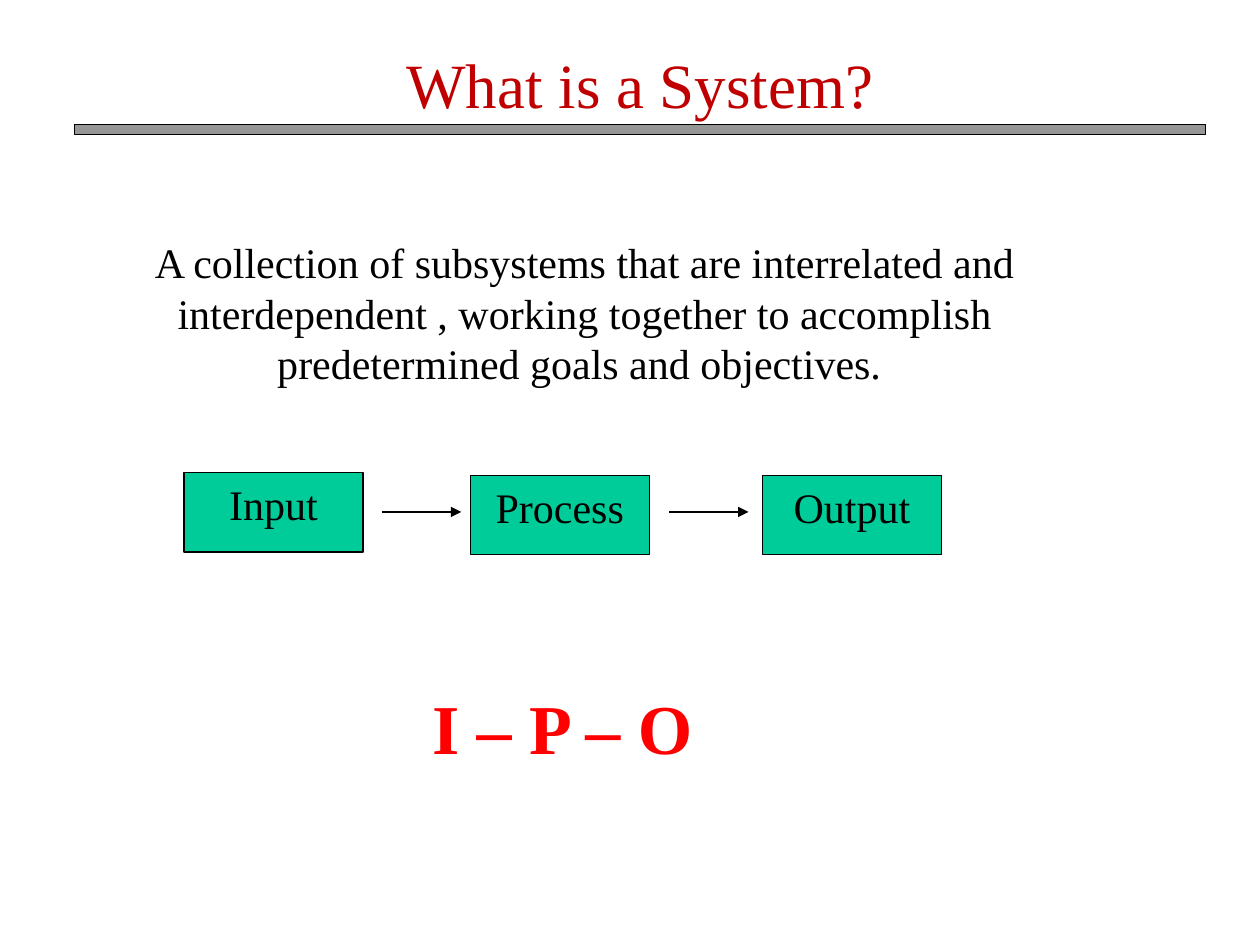
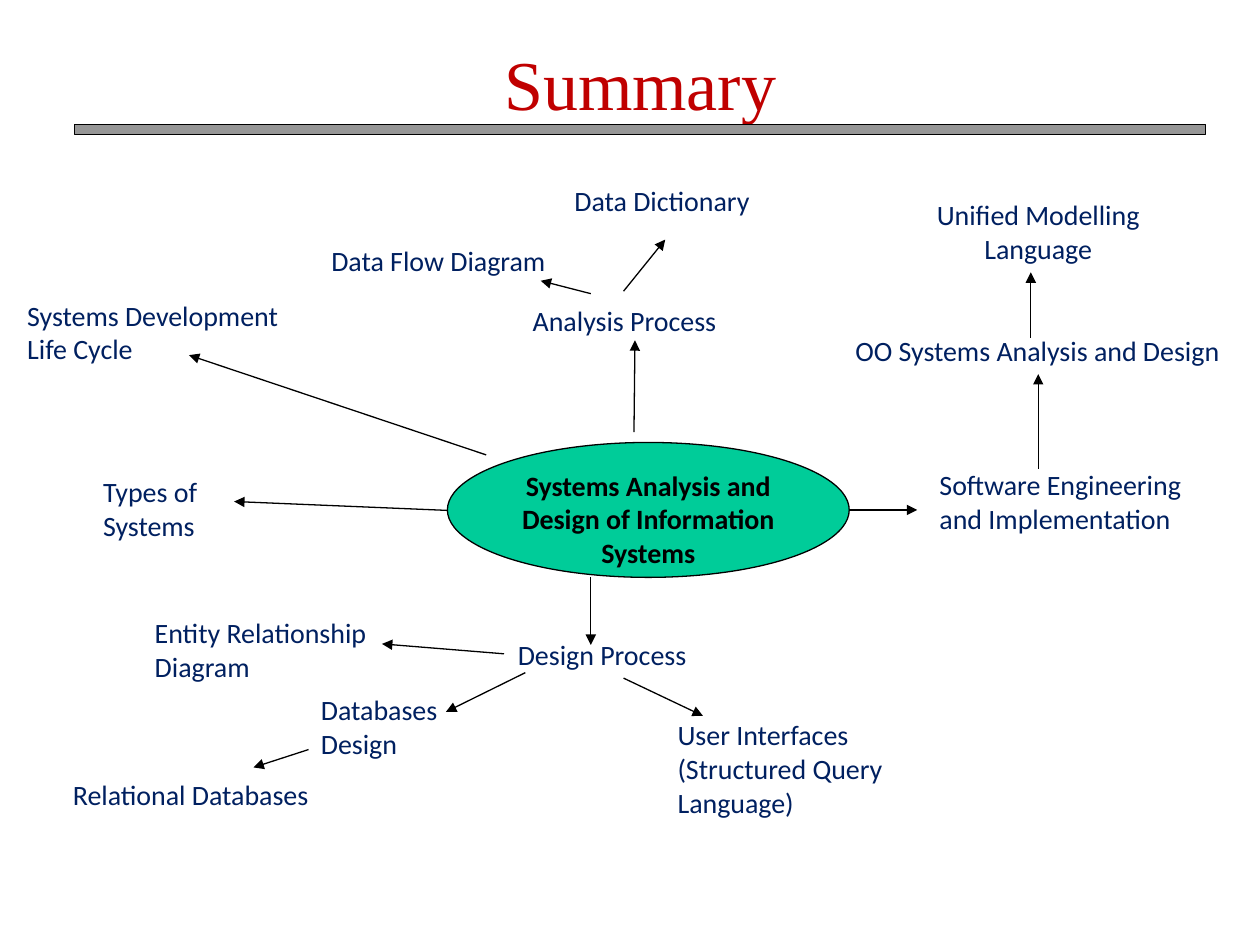
from pptx import Presentation
from pptx.dml.color import RGBColor
from pptx.enum.shapes import MSO_CONNECTOR as CONN, MSO_SHAPE as SHAPE
from pptx.enum.text import MSO_ANCHOR as ANCHOR, MSO_AUTO_SIZE as FIT, PP_ALIGN as ALIGN
from pptx.oxml.ns import qn
from pptx.util import Cm, Pt
from lxml import etree

COLORS = {"title": "C00000", "ink": "000000", "bar": "969696", "node": "00CC99",
          "label": "002060", "accent": "FF0000"}
SERIF, SANS = "Times New Roman", "Calibri"


def rgb(name):
    return RGBColor.from_string(COLORS[name])


def write(sp, text, size=24, font=SERIF, color="ink", bold=False, align=ALIGN.CENTER,
          anchor=ANCHOR.TOP):
    tf = sp.text_frame
    tf.word_wrap = True
    tf.auto_size = FIT.NONE
    tf.vertical_anchor = anchor
    for i, line in enumerate(text.split("\n")):
        p = tf.add_paragraph() if i else tf.paragraphs[0]
        p.alignment = align
        p.line_spacing = Pt(size * 1.2)
        p.space_before = Pt(0)
        r = p.add_run()
        r.text = line
        r.font.name, r.font.size, r.font.bold = font, Pt(size), bold
        r.font.color.rgb = rgb(color)


def add_text(s, x, y, w, h, text, **fmt):
    write(s.shapes.add_textbox(Cm(x), Cm(y), Cm(w), Cm(h)), text, **fmt)


def add_node(s, kind, x, y, w, h, fill="node", text="", **fmt):
    sp = s.shapes.add_shape(kind, Cm(x), Cm(y), Cm(w), Cm(h))
    sp.shadow.inherit = False
    sp.fill.solid()
    sp.fill.fore_color.rgb = rgb(fill)
    sp.line.color.rgb = rgb("ink")
    sp.line.width = Pt(0.75)
    if text:
        write(sp, text, **fmt)


def add_arrow(s, x1, y1, x2, y2):
    c = s.shapes.add_connector(CONN.STRAIGHT, Cm(x1), Cm(y1), Cm(x2), Cm(y2))
    c.line.color.rgb = rgb("ink")
    c.line.width = Pt(0.75)
    etree.SubElement(c.line._get_or_add_ln(), qn("a:tailEnd"), type="triangle")
    etree.SubElement(c._element.spPr, qn("a:effectLst"))


def add_titled_slide(prs, title, size):
    s = prs.slides.add_slide(prs.slide_layouts[5])
    t = s.shapes.title
    t.left, t.top, t.width, t.height = Cm(2.11), Cm(0.08), Cm(21.59), Cm(3.18)
    write(t, title, size=size, color="title", anchor=ANCHOR.MIDDLE)
    add_node(s, SHAPE.RECTANGLE, 1.5, 2.51, 22.81, 0.2, fill="bar")
    return s


def add_flow(s, x, y):
    steps = [("Input", 0, 0), ("Process", 5.77, 0.05), ("Output", 11.66, 0.05)]
    for text, dx, dy in steps:
        add_node(s, SHAPE.RECTANGLE, x + dx, y + dy, 3.61, 1.6, text=text)
    for dx in (3.99, 9.78):
        add_arrow(s, x + dx, y + 0.79, x + dx + 1.6, y + 0.79)


def add_topic_map(s, x, y):
    left, center = ALIGN.LEFT, ALIGN.CENTER
    topics = [
        ("Data Dictionary", 11.03, 0.08, 4.3, left),
        ("Data Flow Diagram", 6.13, 1.28, 5.1, left),
        ("Systems Development Life Cycle", 0, 2.39, 5.65, left),
        ("Analysis Process", 10.19, 2.49, 6.96, left),
        ("Unified Modelling\nLanguage", 18.27, 0.36, 4.72, center),
        ("OO Systems Analysis and Design", 15.93, 3.1, 9.37, center),
        ("Types of\nSystems", 1.53, 5.95, 2.7, left),
        ("Software Engineering and Implementation", 18.39, 5.8, 5.89, left),
        ("Entity Relationship\nDiagram", 2.57, 8.79, 4.98, left),
        ("Design Process", 9.89, 9.23, 4.1, left),
        ("Databases\nDesign", 5.92, 10.34, 3.15, left),
        ("User Interfaces (Structured Query Language)", 13.11, 10.85, 5.28, left),
        ("Relational Databases", 0.92, 12.04, 5.77, left),
    ]
    arrows = [
        (9.5, 5.67, 3.51, 3.66), (12.48, 5.21, 12.5, 3.36), (8.72, 6.79, 4.42, 6.61),
        (10.29, 10.06, 8.69, 10.85), (12.27, 10.17, 13.87, 10.93),
        (11.61, 2.42, 10.6, 2.16), (12.27, 2.37, 13.11, 1.33),
        (5.92, 11.61, 4.81, 11.97), (20.48, 3.31, 20.48, 1.99),
        (16.82, 6.78, 18.19, 6.78), (20.63, 5.95, 20.63, 4.04),
        (9.86, 9.68, 7.4, 9.48), (11.61, 8.13, 11.61, 9.5),
    ]
    add_node(s, SHAPE.OVAL, x + 8.72, y + 5.42, 8.1, 2.72, size=16, font=SANS, bold=True,
             text="Systems Analysis and Design of Information Systems")
    for text, dx, dy, w, align in topics:
        h = 0.95 if len(text) * 0.3 < w else 1.63
        add_text(s, x + dx, y + dy, w, h, text, size=16, font=SANS, color="label", align=align)
    for x1, y1, x2, y2 in arrows:
        add_arrow(s, x + x1, y + y1, x + x2, y + y2)


def build_system_slide(prs):
    s = add_titled_slide(prs, "What is a System?", 36)
    add_text(s, 0.89, 4.65, 21.79, 4, "A collection of subsystems that are interrelated and "
             "interdependent , working together to accomplish predetermined goals and objectives. ")
    add_flow(s, 3.71, 9.53)
    add_text(s, 8.46, 13.67, 5.82, 2, "I – P – O", size=40, color="accent", bold=True,
             align=ALIGN.LEFT)


def build_summary_slide(prs):
    s = add_titled_slide(prs, "Summary", 40)
    add_topic_map(s, 0.3, 3.5)


def main():
    prs = Presentation()
    prs.slide_width, prs.slide_height = Cm(25.4), Cm(19.05)
    build_system_slide(prs)
    build_summary_slide(prs)
    prs.save("out.pptx")


if __name__ == "__main__":
    main()
